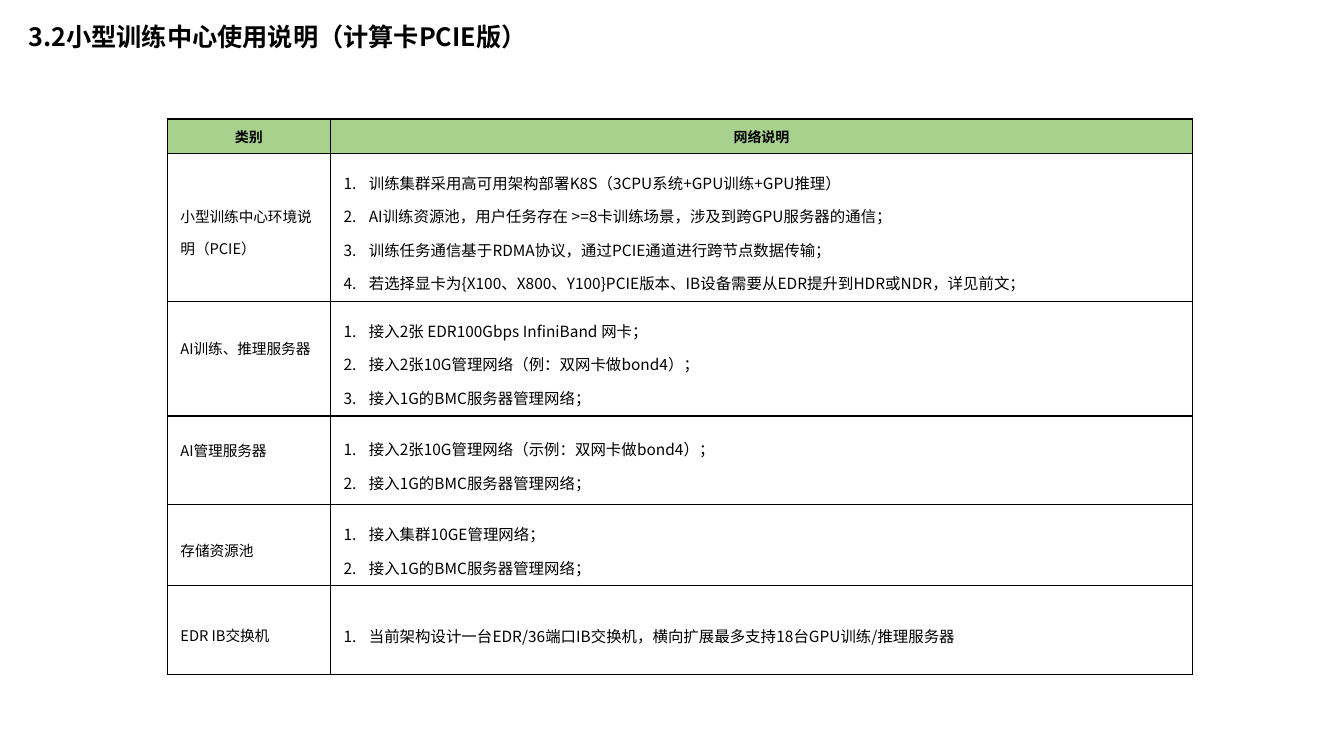
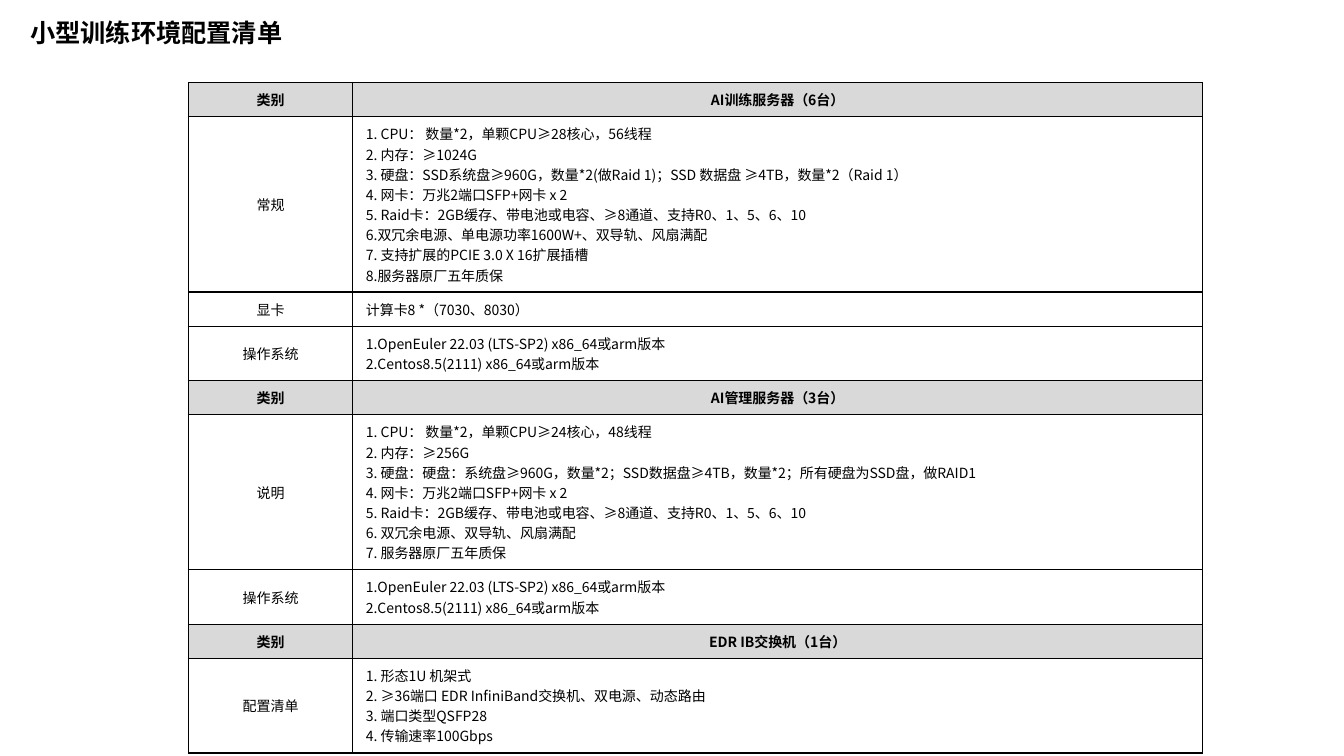
from dataclasses import dataclass

from pptx import Presentation
from pptx.dml.color import RGBColor
from pptx.enum.text import MSO_ANCHOR, MSO_AUTO_SIZE, PP_ALIGN
from pptx.oxml.xmlchemy import OxmlElement
from pptx.util import Pt

# Shared style
FONT = "Noto Sans CJK SC"
BLACK, WHITE, GREEN, GRAY = "000000", "FFFFFF", "A9D18E", "D9D9D9"
INSET_X, INSET_Y = 9.4, 5
NUMBER_INDENT = 18


@dataclass
class Row:
    height: float
    label: str
    lines: list
    header: bool = False
    lift: float = 0  # extra space below the label


@dataclass
class Style:
    header_fill: str
    label_size: float
    body_size: float
    label_align: PP_ALIGN
    spacing: float
    numbered: bool


# Slide 1: network description
NETWORK_STYLE = Style(GREEN, 10.5, 11, PP_ALIGN.LEFT, 1.5, True)
NETWORK_ROWS = [
    Row(22.3, "类别", ["网络说明"], header=True),
    Row(89.3, "小型训练中心环境说明（PCIE）", [
        "训练集群采用高可用架构部署K8S（3CPU系统+GPU训练+GPU推理）",
        "AI训练资源池，用户任务存在 >=8卡训练场景，涉及到跨GPU服务器的通信；",
        "训练任务通信基于RDMA协议，通过PCIE通道进行跨节点数据传输；",
        "若选择显卡为{X100、X800、Y100}PCIE版本、IB设备需要从EDR提升到HDR或NDR，详见前文；",
    ]),
    Row(82, "AI训练、推理服务器", [
        "接入2张 EDR100Gbps InfiniBand 网卡；",
        "接入2张10G管理网络（例：双网卡做bond4）；",
        "接入1G的BMC服务器管理网络；",
    ], lift=22),
    Row(63.4, "AI管理服务器", [
        "接入2张10G管理网络（示例：双网卡做bond4）；",
        "接入1G的BMC服务器管理网络；",
    ], lift=22),
    Row(48.2, "存储资源池", [
        "接入集群10GE管理网络；",
        "接入1G的BMC服务器管理网络；",
    ]),
    Row(63.4, "EDR IB交换机", [
        "当前架构设计一台EDR/36端口IB交换机，横向扩展最多支持18台GPU训练/推理服务器",
    ]),
]

# Slide 2: configuration list
CONFIG_STYLE = Style(GRAY, 10, 10, PP_ALIGN.CENTER, 1, False)
SYSTEM_ROW = Row(28, "操作系统", [
    "1.OpenEuler 22.03 (LTS-SP2) x86_64或arm版本",
    "2.Centos8.5(2111) x86_64或arm版本",
])
NETWORK_CARD = "4. 网卡：万兆2端口SFP+网卡 x 2"
RAID_CARD = "5. Raid卡：2GB缓存、带电池或电容、≥8通道、支持R0、1、5、6、10"
CONFIG_ROWS = [
    Row(18, "类别", ["AI训练服务器（6台）"], header=True),
    Row(88.6, "常规", [
        "1. CPU： 数量*2，单颗CPU≥28核心，56线程",
        "2. 内存：≥1024G",
        "3. 硬盘：SSD系统盘≥960G，数量*2(做Raid 1)；SSD 数据盘 ≥4TB，数量*2（Raid 1）",
        NETWORK_CARD,
        RAID_CARD,
        "6.双冗余电源、单电源功率1600W+、双导轨、风扇满配",
        "7. 支持扩展的PCIE 3.0 X 16扩展插槽",
        "8.服务器原厂五年质保",
    ]),
    Row(18, "显卡", ["计算卡8 *（7030、8030）"]),
    SYSTEM_ROW,
    Row(21.6, "类别", ["AI管理服务器（3台）"], header=True),
    Row(78.5, "说明", [
        "1. CPU： 数量*2，单颗CPU≥24核心，48线程",
        "2. 内存：≥256G",
        "3. 硬盘：硬盘：系统盘≥960G，数量*2；SSD数据盘≥4TB，数量*2；所有硬盘为SSD盘，做RAID1",
        NETWORK_CARD,
        RAID_CARD,
        "6. 双冗余电源、双导轨、风扇满配",
        "7. 服务器原厂五年质保",
    ]),
    SYSTEM_ROW,
    Row(21.6, "类别", ["EDR IB交换机（1台）"], header=True),
    Row(28, "配置清单", [
        "1. 形态1U 机架式",
        "2. ≥36端口 EDR InfiniBand交换机、双电源、动态路由",
        "3. 端口类型QSFP28",
        "4. 传输速率100Gbps",
    ]),
]


def rgb(hex_color):
    return RGBColor.from_string(hex_color)


def set_font(paragraph, size, bold):
    font = paragraph.font
    font.size, font.bold, font.name = Pt(size), bold, FONT
    font.color.rgb = rgb(BLACK)
    east_asian = OxmlElement("a:ea")
    east_asian.set("typeface", FONT)
    font._rPr.append(east_asian)


def add_number(paragraph):
    properties = paragraph._p.get_or_add_pPr()
    properties.set("marL", str(Pt(NUMBER_INDENT)))
    properties.set("indent", str(-Pt(NUMBER_INDENT)))
    number = OxmlElement("a:buAutoNum")
    number.set("type", "arabicPeriod")
    properties.append(number)


def add_borders(cell):
    for edge in ("lnL", "lnR", "lnT", "lnB"):
        line = OxmlElement(f"a:{edge}")
        line.set("w", str(Pt(1)))
        fill = OxmlElement("a:solidFill")
        color = OxmlElement("a:srgbClr")
        color.set("val", BLACK)
        fill.append(color)
        line.append(fill)
        cell._tc.get_or_add_tcPr().append(line)


def fill_cell(cell, lines, fill, size, align, spacing, bold=False, numbered=False, lift=0):
    add_borders(cell)
    cell.fill.solid()
    cell.fill.fore_color.rgb = rgb(fill)
    cell.vertical_anchor = MSO_ANCHOR.MIDDLE
    cell.margin_left = cell.margin_right = Pt(INSET_X)
    cell.margin_top, cell.margin_bottom = Pt(INSET_Y), Pt(INSET_Y + lift)
    cell.text = "\n".join(lines)
    for paragraph in cell.text_frame.paragraphs:
        paragraph.alignment = align
        paragraph.line_spacing = spacing
        if numbered:
            add_number(paragraph)
        set_font(paragraph, size, bold)


def add_grid(slide, left, top, widths, rows, style):
    height = sum(row.height for row in rows)
    table = slide.shapes.add_table(
        len(rows), len(widths), Pt(left), Pt(top), Pt(sum(widths)), Pt(height)
    ).table
    table.first_row = table.horz_banding = False
    for column, width in zip(table.columns, widths):
        column.width = Pt(width)
    for index, row in enumerate(rows):
        table.rows[index].height = Pt(row.height)
        label, body = table.cell(index, 0), table.cell(index, 1)
        if row.header:
            for cell, lines in ((label, [row.label]), (body, row.lines)):
                fill_cell(cell, lines, style.header_fill, 10, PP_ALIGN.CENTER, 1, bold=True)
        else:
            fill_cell(label, [row.label], WHITE, style.label_size, style.label_align,
                      style.spacing, lift=row.lift)
            fill_cell(body, row.lines, WHITE, style.body_size, PP_ALIGN.LEFT,
                      style.spacing, numbered=style.numbered)


def add_titled_slide(deck, text, left, top, width, height):
    slide = deck.slides.add_slide(deck.slide_layouts[5])
    title = slide.shapes.title
    title.left, title.top, title.width, title.height = map(Pt, (left, top, width, height))
    frame = title.text_frame
    frame.text = text
    frame.auto_size = MSO_AUTO_SIZE.NONE
    frame.vertical_anchor = MSO_ANCHOR.TOP
    heading = frame.paragraphs[0]
    heading.alignment = PP_ALIGN.LEFT
    heading.line_spacing = 0.9
    set_font(heading, 18, True)
    return slide


def main():
    deck = Presentation()
    deck.slide_width, deck.slide_height = Pt(960), Pt(540)

    network = add_titled_slide(deck, "3.2小型训练中心使用说明（计算卡PCIE版）", 13, 14.4, 502.6, 32.4)
    add_grid(network, 119.5, 85, (116.6, 615.6), NETWORK_ROWS, NETWORK_STYLE)

    config = add_titled_slide(deck, "小型训练环境配置清单", 14.4, 11.5, 213.8, 24.5)
    add_grid(config, 134.6, 59, (117.4, 607), CONFIG_ROWS, CONFIG_STYLE)

    deck.save("out.pptx")


if __name__ == "__main__":
    main()
